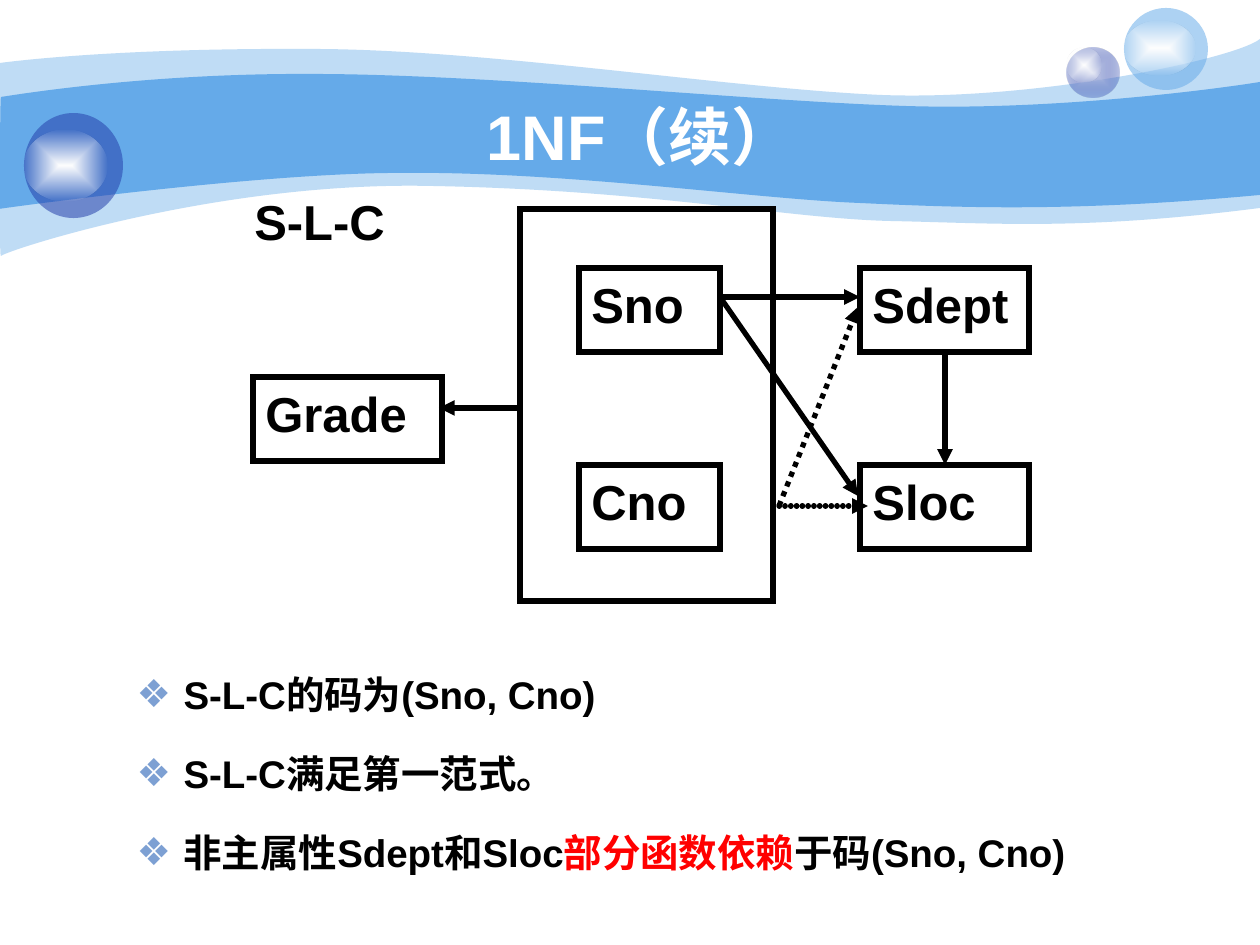
from pptx import Presentation
from pptx.dml.color import RGBColor
from pptx.enum.dml import MSO_LINE
from pptx.enum.shapes import MSO_CONNECTOR, MSO_SHAPE
from pptx.enum.text import MSO_ANCHOR, MSO_AUTO_SIZE, PP_ALIGN
from pptx.oxml import parse_xml
from pptx.oxml.ns import nsdecls
from pptx.oxml.xmlchemy import OxmlElement
from pptx.util import Emu, Pt

COLORS = {
    "sky": "65AAE9", "navy": "233DA9", "mist": "C7CEE9", "white": "FFFFFF",
    "ink": "000000", "alert": "FF0000", "bullet": "7DA0D3",
}


def px(length):
    return Emu(round(length * 914400 / 126))


def rgb(color):
    return RGBColor.from_string(COLORS[color])


def write(paragraph, text, size=28, color="ink", bold=True, font="Arial"):
    run = paragraph.add_run()
    run.text = text
    run.font.size = Pt(size)
    run.font.bold = bold
    run.font.name = font
    run.font.color.rgb = rgb(color)


def color_xml(color, opacity):
    return f'<a:srgbClr val="{COLORS[color]}"><a:alpha val="{opacity * 1000}"/></a:srgbClr>'


class Deck:
    """Holds the style and the current slide, and draws each kind of element."""

    def __init__(self, width, height):
        self.presentation = Presentation()
        self.presentation.slide_width = px(width)
        self.presentation.slide_height = px(height)
        self.slide = self.presentation.slides.add_slide(self.presentation.slide_layouts[1])
        self.shapes = self.slide.shapes
        self.stroke = Pt(3)

    def paint(self, shape, *stops):
        shape.shadow.inherit = False
        shape.line.fill.background()
        shape.fill.background()
        if len(stops) == 1:
            xml = f'<a:solidFill {nsdecls("a")}>{color_xml(*stops[0])}</a:solidFill>'
        else:
            inner, outer = (color_xml(*stop) for stop in stops)
            xml = (f'<a:gradFill {nsdecls("a")} rotWithShape="1"><a:gsLst>'
                   f'<a:gs pos="0">{inner}</a:gs><a:gs pos="100000">{outer}</a:gs></a:gsLst>'
                   '<a:path path="rect"><a:fillToRect l="50000" t="50000" r="50000" b="50000"/>'
                   '</a:path></a:gradFill>')
        properties = shape._element.spPr
        properties.replace(properties.find("{*}noFill"), parse_xml(xml))

    def wave(self, top, bottom, opacity):
        first, *rest = [(px(x), px(y)) for x, y in top + bottom]
        builder = self.shapes.build_freeform(*first)
        builder.add_line_segments(rest, close=True)
        band = builder.convert_to_shape()
        outline = band._element.find(".//{*}path")
        segments = outline.findall("{*}lnTo")
        segments.pop(len(top) - 1)
        for start in range(0, len(segments), 3):
            curve = OxmlElement("a:cubicBezTo")
            segments[start].addprevious(curve)
            for segment in segments[start:start + 3]:
                curve.append(segment[0])
                outline.remove(segment)
        self.paint(band, ("sky", opacity))

    def ball(self, bounds, *stops):
        self.paint(self.shapes.add_shape(MSO_SHAPE.OVAL, *map(px, bounds)), *stops)

    def box(self, bounds, text=None):
        frame = self.shapes.add_shape(MSO_SHAPE.RECTANGLE, *map(px, bounds))
        frame.shadow.inherit = False
        frame.fill.background()
        frame.line.color.rgb = rgb("ink")
        frame.line.width = self.stroke
        corner = OxmlElement("a:miter")
        corner.set("lim", "800000")
        frame.line._get_or_add_ln().append(corner)
        if text:
            self.label(frame.text_frame, text)

    def label(self, text_frame, text):
        text_frame.word_wrap = True
        text_frame.vertical_anchor = MSO_ANCHOR.TOP
        text_frame.paragraphs[0].alignment = PP_ALIGN.JUSTIFY
        write(text_frame.paragraphs[0], text)

    def caption(self, bounds, text):
        self.label(self.shapes.add_textbox(*map(px, bounds)).text_frame, text)

    def arrow(self, start, end, dash=None):
        connector = self.shapes.add_connector(
            MSO_CONNECTOR.STRAIGHT, *map(px, start + end))
        connector.line.color.rgb = rgb("ink")
        connector.line.width = self.stroke
        line = connector.line._get_or_add_ln()
        if dash == "square":
            connector.line.dash_style = MSO_LINE.ROUND_DOT
        elif dash == "round":
            line.set("cap", "rnd")
            line.append(parse_xml(f'<a:custDash {nsdecls("a")}>'
                                  '<a:ds d="10000" sp="100000"/></a:custDash>'))
        head = OxmlElement("a:tailEnd")
        head.set("type", "triangle")
        line.append(head)
        connector._element.spPr.append(OxmlElement("a:effectLst"))

    def placeholder(self, index, bounds, anchor):
        holder = self.slide.placeholders[index]
        holder.left, holder.top, holder.width, holder.height = map(px, bounds)
        self.shapes._spTree.append(holder._element)
        text_frame = holder.text_frame
        text_frame.word_wrap = True
        text_frame.auto_size = MSO_AUTO_SIZE.NONE
        text_frame.vertical_anchor = anchor
        return text_frame

    def title(self, bounds, text):
        text_frame = self.placeholder(0, bounds, MSO_ANCHOR.MIDDLE)
        text_frame.margin_left = px(30)
        heading = text_frame.paragraphs[0]
        heading.alignment = PP_ALIGN.CENTER
        write(heading, text, size=36, color="white")

    def bullets(self, bounds, items):
        text_frame = self.placeholder(1, bounds, MSO_ANCHOR.TOP)
        for index, item in enumerate(items):
            paragraph = text_frame.add_paragraph() if index else text_frame.paragraphs[0]
            paragraph.line_spacing = 1.5
            paragraph.space_before = Pt(5.5 if index else 0)
            properties = paragraph._p.get_or_add_pPr()
            properties.set("marL", str(px(47)))
            properties.set("indent", str(-px(47)))
            for xml in (f'<a:buClr {nsdecls("a")}><a:srgbClr val="{COLORS["bullet"]}"/></a:buClr>',
                        f'<a:buChar {nsdecls("a")} char="❖"/>'):
                properties.append(parse_xml(xml))
            for text, color in item:
                write(paragraph, text, size=22, color=color)


def main():
    deck = Deck(1260, 945)

    deck.wave(
        [(0, 63), (30, 59), (135, 48), (311, 49), (486, 49), (725, 88), (881, 95),
         (1036, 101), (1235, 59), (1260, 39)],
        [(1260, 208), (1081, 231), (992, 223), (888, 221), (784, 218), (649, 190),
         (432, 186), (217, 181), (5, 251), (1, 256), (-1, 262), (0, 95), (0, 63)], 41)
    deck.wave(
        [(1, 97), (3, 97), (139, 73), (312, 74), (486, 74), (750, 101), (905, 106),
         (1060, 111), (1230, 87), (1260, 82)],
        [(1260, 195), (1075, 212), (964, 208), (859, 203), (755, 199), (563, 171),
         (399, 173), (256, 173), (-3, 209), (-1, 209), (0, 209), (0, 97), (1, 97)], 100)

    for globe, shine, stops in (
        ((1067, 48, 53, 50), (1067, 48, 35, 34), [("mist", 100), ("navy", 31)]),
        ((1124, 8, 84, 82), (1124, 21, 71, 54), [("sky", 53)]),
        ((24, 113, 99, 105), (24, 130, 83, 71), [("navy", 53)]),
    ):
        deck.ball(globe, *stops)
        deck.ball(shine, ("white", 100), ("white", 0))

    deck.title((123, 96, 1018, 78), "1NF（续）")
    deck.bullets((124, 642, 1071, 277), [
        [("S-L-C的码为(Sno, Cno)", "ink")],
        [("S-L-C满足第一范式。", "ink")],
        [("非主属性Sdept和Sloc", "ink"), ("部分函数依赖", "alert"), ("于码(Sno, Cno)", "ink")],
    ])

    deck.box((520, 209, 253, 392))
    upper, lower, height = 268, 465, 84
    for left, top, width, attribute in (
        (579, upper, 141, "Sno"), (579, lower, 141, "Cno"), (253, 377, 189, "Grade"),
        (860, upper, 169, "Sdept"), (860, lower, 169, "Sloc"),
    ):
        deck.box((left, top, width, height), attribute)

    sno, cno = (720, 297), (779, 506)
    deck.arrow((522, 408), (439, 408))
    deck.arrow(sno, (860, 297))
    deck.arrow(sno, (858, 496))
    deck.arrow(cno, (858, 307), dash="square")
    deck.arrow(cno, (868, 506), dash="round")
    deck.arrow((945, upper + height), (945, lower))
    deck.caption((242, 185, 200, 73), "S-L-C")

    deck.presentation.save("out.pptx")


if __name__ == "__main__":
    main()
